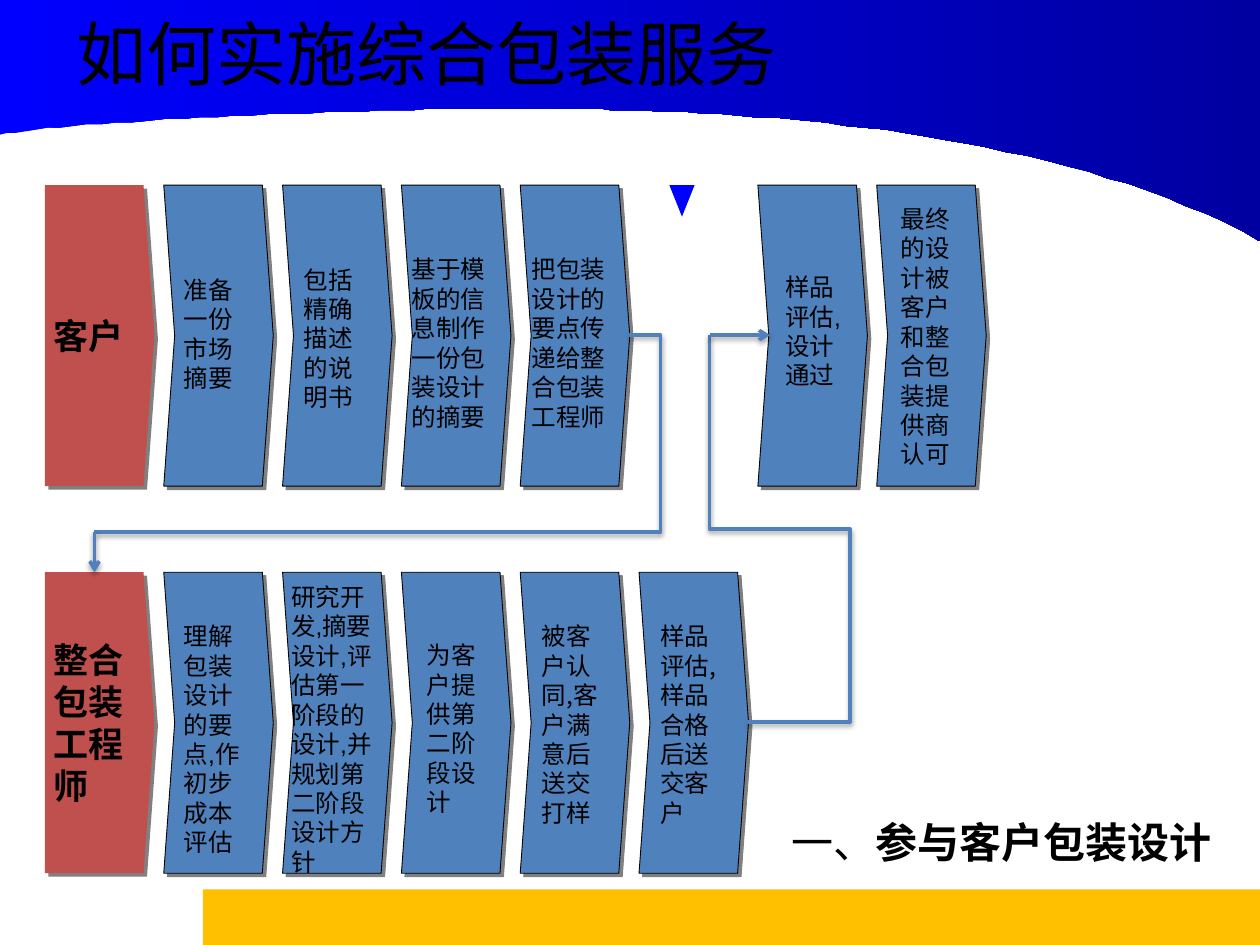
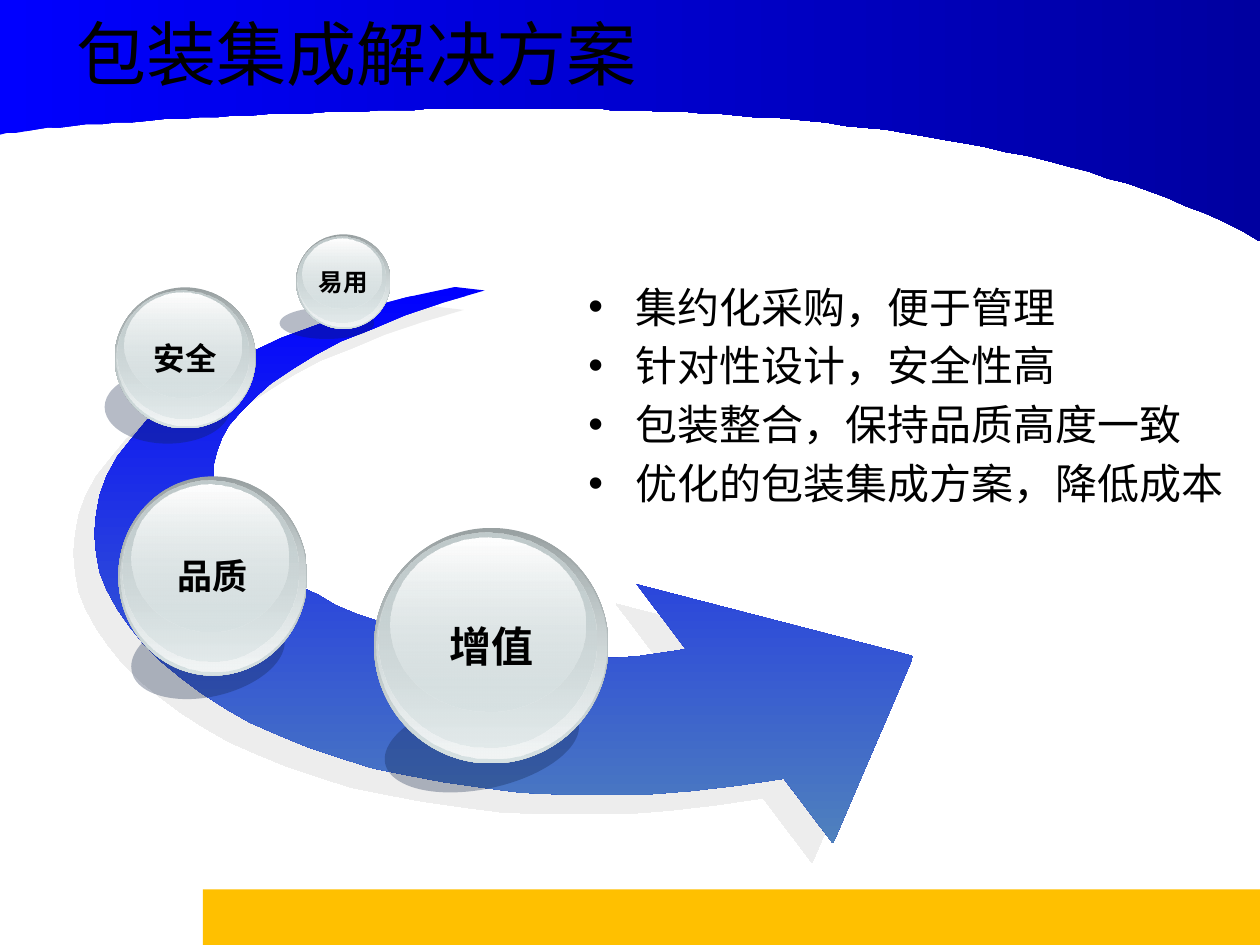
"""Build two slides on integrated packaging services."""
import lxml.etree
import pptx
import pptx.dml.color
import pptx.enum.shapes
import pptx.enum.text
import pptx.oxml.ns
import pptx.util

Pt = pptx.util.Pt
SHAPES = pptx.enum.shapes.MSO_SHAPE
CONNECTORS = pptx.enum.shapes.MSO_CONNECTOR
ANCHORS = pptx.enum.text.MSO_ANCHOR
ALIGNMENTS = pptx.enum.text.PP_ALIGN
qn = pptx.oxml.ns.qn

COLOURS = {
    "text": "000000", "band": "FFC000", "wave": "0000FF", "wave end": "0000A0",
    "owner": "C0504D", "step": "4F81BD", "step shadow": "808080",
    "arrow shadow": "DDDDDD", "ball shadow": "0F2145", "rim": "99A1A2",
    "glass": "D6E1E2", "glow": "F2F5F5", "core": "C1CBCC", "shine": "FFFFFF",
}
CJK = "Noto Sans CJK SC"
COLUMN_LEFT, COLUMN_PITCH, STEP_WIDTH, STEP_HEIGHT = 25.7, 67.9, 62.6, 172
CLIENT_TOP, ENGINEER_TOP = 105.8, 327

CLIENT_STEPS = [
    (1, "准备一份市场摘要", (105, 157, 41, 68), "Arial"),
    (2, "包括精确描述的说明书", (173.5, 151.2, 39.6, 85), CJK),
    (3, "基于模板的信息制作一份包装设计的摘要", (235.4, 145.4, 53.3, 101.5), CJK),
    (4, "把包装设计的要点传递给整合包装工程师", (303.8, 145.4, 49, 101.5), CJK),
    (6, "样品评估,设计通过", (448.6, 155.5, 38.9, 68), "Arial"),
    (7, "最终的设计被客户和整合包装提供商认可", (514.8, 116.6, 31, 152.6), CJK),
]
ENGINEER_STEPS = [
    (1, "理解包装设计的要点,作初步成本评估", (105, 355, 41, 135.4), "Arial"),
    (2, "研究开发,摘要设计,评估第一阶段的设计,并规划第二阶段设计方针",
     (166.3, 332.6, 51.1, 170), "Arial"),
    (3, "为客户提供第二阶段设计", (244, 365.8, 33.8, 101.5), CJK),
    (4, "被客户认同,客户满意后送交打样", (309.6, 355, 39.6, 118.8), CJK),
    (5, "样品评估,样品合格后送交客户", (377.3, 355, 38.9, 118.8), CJK),
]
BALLS = [
    ("增值", 24, (213.8, 301.7, 133.9, 134.6), (218.9, 398.2, 113, 52.6), -12.1),
    ("品质", 20, (67.7, 272.2, 108, 113.8), (74.2, 349.9, 89.3, 48.2), -12.9),
    ("安全", 18, (65.5, 164.2, 80.6, 80.6), (59.8, 211.7, 72, 41.8), 0),
    ("易用", 14, (169.2, 133.9, 54, 54), (159.8, 175.7, 54, 18), 0),
]
BALL_LAYERS = [
    (0, 0, 1, 1, ("rim", 100), ("glass", 100)),
    (0.01, 0.01, 0.98, 0.97, ("glass", 0), ("glow", 100)),
    (0.02, 0.02, 0.93, 0.91, ("core", 100), ("glass", 48)),
    (0.07, 0.04, 0.83, 0.74, ("shine", 100), ("glass", 38)),
]
BENEFITS = ["集约化采购，便于管理", "针对性设计，安全性高",
            "包装整合，保持品质高度一致", "优化的包装集成方案，降低成本"]


def rgb(name):
    return pptx.dml.color.RGBColor.from_string(COLOURS[name])


def points(lengths):
    return [Pt(length) for length in lengths]


def add_alpha(colour, percent):
    alpha = lxml.etree.SubElement(colour, qn("a:alpha"))
    alpha.set("val", str(percent * 1000))


def paint(shape, *colours, angle=0):
    """Fill with one or two (colour, opacity) pairs, without line or shadow."""
    if len(colours) == 1:
        shape.fill.solid()
        shape.fill.fore_color.rgb = rgb(colours[0][0])
    else:
        shape.fill.gradient()
        shape.fill.gradient_angle = angle
        for stop, (name, opacity) in zip(shape.fill.gradient_stops, colours):
            stop.color.rgb = rgb(name)
    for element, (name, opacity) in zip(shape.element.spPr.iter(qn("a:srgbClr")), colours):
        if opacity < 100:
            add_alpha(element, opacity)
    shape.line.fill.background()
    shape.shadow.inherit = False


def cast_shadow(shape, name, opacity, blur, distance, angle):
    properties = shape.element.spPr
    effects = properties.find(qn("a:effectLst"))
    if effects is None:
        effects = lxml.etree.SubElement(properties, qn("a:effectLst"))
    shadow = lxml.etree.SubElement(effects, qn("a:outerShdw"))
    shadow.set("blurRad", str(Pt(blur)))
    shadow.set("dist", str(Pt(distance)))
    shadow.set("dir", str(angle * 60000))
    shadow.set("algn", "ctr")
    shadow.set("rotWithShape", "0")
    colour = lxml.etree.SubElement(shadow, qn("a:srgbClr"))
    colour.set("val", COLOURS[name])
    add_alpha(colour, opacity)


def style_font(font, size, face, bold=False):
    font.size = Pt(size)
    font.name = face
    font.bold = bold
    font.color.rgb = rgb("text")


def write(shape, text, size, face, bold=False, insets=(0, 0, 0, 0),
          anchor=ANCHORS.TOP, align=ALIGNMENTS.LEFT):
    frame = shape.text_frame
    frame.word_wrap = True
    frame.vertical_anchor = anchor
    (frame.margin_left, frame.margin_top,
     frame.margin_right, frame.margin_bottom) = points(insets)
    para = frame.paragraphs[0]
    para.text = text
    para.alignment = align
    para.line_spacing = Pt(size * 1.2)
    style_font(para.font, size, face, bold)


def curve(start, first, second, end, steps=40):
    """Return points along a cubic curve, leaving out its start."""
    result = []
    for step in range(1, steps + 1):
        t = step / steps
        weights = ((1 - t) ** 3, 3 * t * (1 - t) ** 2, 3 * t * t * (1 - t), t ** 3)
        result.append(tuple(sum(weight * point[axis] for weight, point
                                in zip(weights, (start, first, second, end)))
                            for axis in (0, 1)))
    return result


def add_outline(page, start, vertices):
    builder = page.shapes.build_freeform(*start, scale=Pt(1))
    builder.add_line_segments(vertices, close=True)
    return builder.convert_to_shape()


def decorate_master(deck, page):
    """Draw the shared band and wave, then move them to the master."""
    band = page.shapes.add_shape(SHAPES.RECTANGLE, *points((116, 508.2, 604, 31.8)))
    paint(band, ("band", 100))
    middle = (329, 62)
    wave = add_outline(page, (0, 0), [
        (0, 77), *curve((0, 77), (52.5, 67), (278, 60), middle),
        *curve(middle, (381, 64), (587.5, 64), (720, 137.5)), (720, 0)])
    paint(wave, ("wave", 100), ("wave end", 100))
    for index, shape in enumerate((band, wave)):
        shape.element.nvSpPr.cNvPr.set("id", str(20 + index))
        deck.slide_master.shapes.element.insert(2 + index, shape.element)


def place(shape, box):
    shape.left, shape.top, shape.width, shape.height = points(box)


def add_page(deck, layout, title):
    page = deck.slides.add_slide(deck.slide_layouts[layout])
    heading = page.shapes.title
    place(heading, (36.7, 0, 648, 60.5))
    heading.text_frame.vertical_anchor = ANCHORS.MIDDLE
    para = heading.text_frame.paragraphs[0]
    para.text = title
    para.alignment = ALIGNMENTS.LEFT
    style_font(para.font, 40, CJK)
    return page


def add_stage(page, kind, column, top, colour):
    stage = page.shapes.add_shape(kind, *points(
        (COLUMN_LEFT + COLUMN_PITCH * column, top, STEP_WIDTH, STEP_HEIGHT)))
    stage.adjustments[0] = 0.1
    paint(stage, (colour, 100))
    cast_shadow(stage, "step shadow", 100, 0, 2.8, 45)
    return stage


def add_row(page, owner, face, top, steps):
    plate = add_stage(page, SHAPES.PENTAGON, 0, top, "owner")
    write(plate, owner, 20, face, True, (5, 0, 7.2, 0), ANCHORS.MIDDLE)
    for column, text, box, label_face in steps:
        step = add_stage(page, SHAPES.CHEVRON, column, top, "step")
        step.line.color.rgb = rgb("text")
        step.line.width = Pt(0.5)
        write(page.shapes.add_textbox(*points(box)), text, 14, label_face)


def add_link(page, kind, start, end, arrow=False):
    link = page.shapes.add_connector(kind, *points(start + end))
    link.line.color.rgb = rgb("step")
    link.line.width = Pt(2)
    if arrow:
        tail = lxml.etree.SubElement(link.element.spPr.find(qn("a:ln")), qn("a:tailEnd"))
        tail.set("type", "arrow")
    cast_shadow(link, "text", 38, 3.1, 1.6, 90)
    return link


def add_elbow(page, start, end, *bends):
    """Add an elbow whose bends lie at the given x and, if any, y."""
    link = add_link(page, CONNECTORS.ELBOW, start, end)
    geometry = link.element.spPr.find(qn("a:prstGeom"))
    geometry.set("prst", f"bentConnector{2 + len(bends)}")
    guides = geometry.find(qn("a:avLst"))
    if guides is None:
        guides = lxml.etree.SubElement(geometry, qn("a:avLst"))
    for index, (bend, first, last) in enumerate(zip(bends, start, end), 1):
        guide = lxml.etree.SubElement(guides, qn("a:gd"))
        guide.set("name", f"adj{index}")
        guide.set("fmla", f"val {round((bend - first) / (last - first) * 100000)}")


def add_caption(page):
    caption = page.shapes.add_textbox(*points((445, 463, 257.8, 36)))
    caption.text_frame.word_wrap = False
    para = caption.text_frame.paragraphs[0]
    for text, bold in (("一、", False), ("参与客户包装设计", True)):
        span = para.add_run()
        span.text = text
        style_font(span.font, 24, "Calibri", bold)


def add_swoosh(page):
    start, tail_end, notch = (260, 164), (448, 445), (392, 371)
    swoosh = add_outline(page, start, [
        *curve(start, (-129, 245), (90, 507), tail_end),
        (476, 482), (522, 375), (364, 334), notch,
        *curve(notch, (218.5, 404), (-53, 261), (277, 165.5))])
    paint(swoosh, ("wave", 100), ("step", 100), angle=270)
    cast_shadow(swoosh, "arrow shadow", 50, 0, 16.3, 137)


def add_ball(page, text, size, box, shadow_box, rotation):
    shadow = page.shapes.add_shape(SHAPES.OVAL, *points(shadow_box))
    shadow.rotation = rotation
    paint(shadow, ("ball shadow", 30))
    left, top, width, height = box
    for x, y, wide, high, upper, lower in BALL_LAYERS:
        layer = page.shapes.add_shape(SHAPES.OVAL, *points(
            (left + x * width, top + y * height, wide * width, high * height)))
        paint(layer, upper, lower, angle=270)
    write(page.shapes.add_textbox(*points(box)), text, size, "Arial", True,
          anchor=ANCHORS.MIDDLE, align=ALIGNMENTS.CENTER)


def fill_list(body, items):
    place(body, (329, 157, 391, 187.2))
    frame = body.text_frame
    frame.auto_size = pptx.enum.text.MSO_AUTO_SIZE.NONE
    for index, item in enumerate(items):
        para = frame.add_paragraph() if index else frame.paragraphs[0]
        para.text = item
        para.space_before = Pt(4.8 if index else 0)
        para.line_spacing = Pt(28.8)
        style_font(para.font, 24, "Calibri")


def main():
    deck = pptx.Presentation()
    deck.slide_width, deck.slide_height = Pt(720), Pt(540)

    process = add_page(deck, 5, "如何实施综合包装服务")
    decorate_master(deck, process)
    add_row(process, "整合包装工程师", CJK, ENGINEER_TOP, ENGINEER_STEPS)
    marker = process.shapes.add_shape(SHAPES.ISOSCELES_TRIANGLE,
                                      *points((382.5, 105.8, 14.4, 18)))
    marker.rotation = 180
    paint(marker, ("wave", 100))
    add_row(process, "客户", "Calibri", CLIENT_TOP, CLIENT_STEPS)
    add_elbow(process, (359.5, 191.5), (54, 304), 377.5)
    add_link(process, CONNECTORS.STRAIGHT, (54, 304), (54, 327), arrow=True)
    add_elbow(process, (427, 412.5), (405.5, 191.5), 486, 302.5)
    add_link(process, CONNECTORS.STRAIGHT, (405.5, 191.5), (440, 191.5), arrow=True)
    add_caption(process)

    solution = add_page(deck, 1, "包装集成解决方案")
    fill_list(solution.placeholders[1], BENEFITS)
    add_swoosh(solution)
    for ball in BALLS:
        add_ball(solution, *ball)
    deck.save("out.pptx")


if __name__ == "__main__":
    main()
